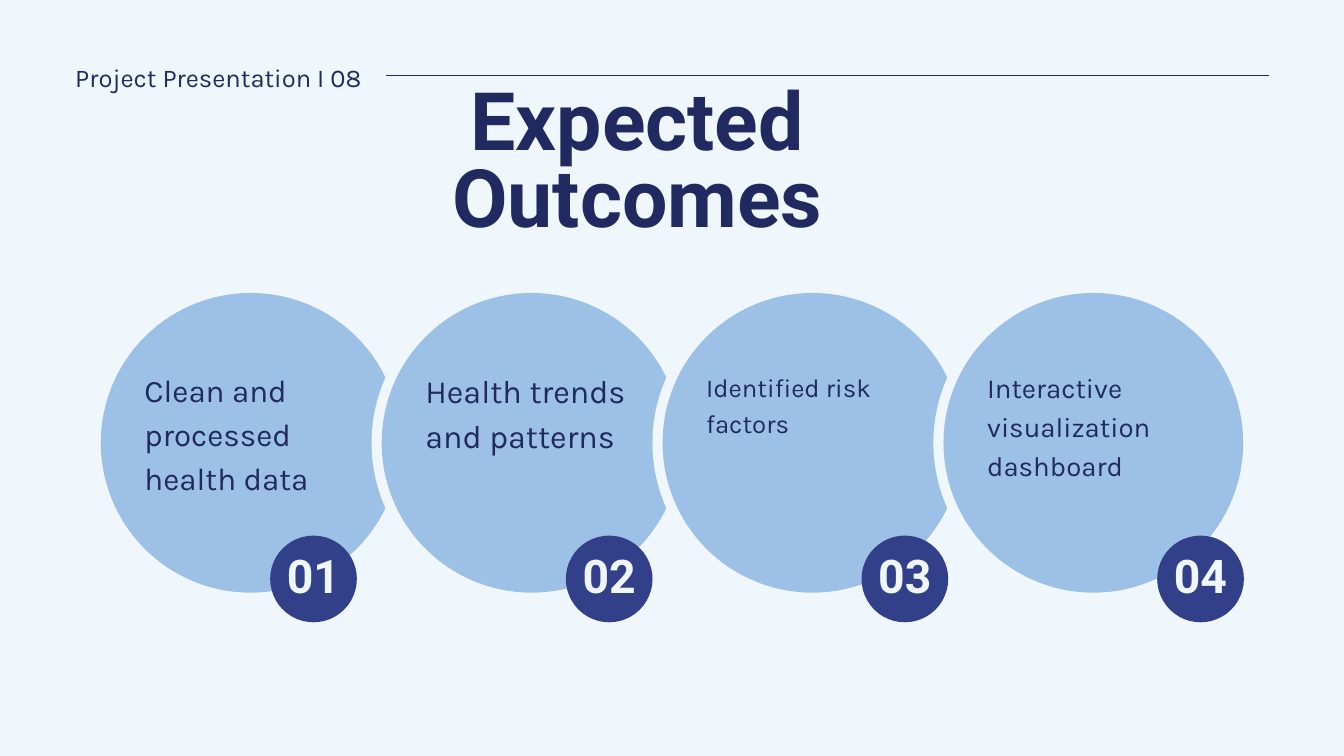
from pptx import Presentation
from pptx.dml.color import RGBColor
from pptx.enum.shapes import MSO_CONNECTOR, MSO_SHAPE
from pptx.enum.text import PP_ALIGN
from pptx.oxml.ns import qn
from pptx.util import Emu, Pt
from lxml.etree import SubElement

PALE = RGBColor(0xEF, 0xF6, 0xFC)
SKY = RGBColor(0x9D, 0xC1, 0xE6)
INDIGO = RGBColor(0x32, 0x40, 0x89)
NAVY = RGBColor(0x20, 0x2A, 0x61)

# Wording, text top, text height, font size and line spacing
OUTCOMES = [
    ("Clean and processed health data", 543, 192, 33.6, 47.1),
    ("Health trends and patterns", 543, 131, 34.6, 48.5),
    ("Identified risk factors", 545, 104, 27.6, 38.7),
    ("Interactive visualization dashboard", 544, 170, 29.6, 41.5),
]
CIRCLE_LEFT, CIRCLE_TOP, CIRCLE_SIZE, CIRCLE_STEP = 150, 436, 446, 418
RIM = 15
BADGE_LEFT, BADGE_TOP, BADGE_SIZE, BADGE_STEP = 402, 797, 129, 440


def px(length):
    """100 px to the inch."""
    return Emu(length * 9144)


def add_text(page, text, left, top, width, height, size, spacing,
             font="Karla", color=NAVY, bold=False, align=PP_ALIGN.LEFT):
    box = page.shapes.add_textbox(px(left), px(top), px(width), px(height))
    frame = box.text_frame
    frame.word_wrap = True
    frame.margin_left = frame.margin_right = 0
    frame.margin_top = frame.margin_bottom = 0
    para = frame.paragraphs[0]
    para.alignment = align
    para.line_spacing = Pt(spacing)
    span = para.add_run()
    span.text = text
    span.font.name = font
    span.font.size = Pt(size)
    span.font.bold = bold
    span.font.color.rgb = color


def add_circle(page, left, top, size, color):
    circle = page.shapes.add_shape(
        MSO_SHAPE.OVAL, px(left), px(top), px(size), px(size))
    circle.shadow.inherit = False
    circle.fill.solid()
    circle.fill.fore_color.rgb = color
    circle.line.fill.background()


def add_rule(page, left, right, y):
    rule = page.shapes.add_connector(
        MSO_CONNECTOR.STRAIGHT, px(left), px(y), px(right), px(y))
    rule.line.color.rgb = NAVY
    rule.line.width = Pt(0.75)
    SubElement(rule._element.spPr, qn("a:effectLst"))


def add_outcome(page, index, text, top, height, size, spacing):
    left = CIRCLE_LEFT + index * CIRCLE_STEP
    if index:  # pale rim that cuts into the circle before
        add_circle(page, left - RIM, CIRCLE_TOP - RIM,
                   CIRCLE_SIZE + 2 * RIM, PALE)
    add_circle(page, left, CIRCLE_TOP, CIRCLE_SIZE, SKY)
    add_text(page, text, left + 65, top, 316, height, size, spacing)


def add_badge(page, index):
    left = BADGE_LEFT + index * BADGE_STEP
    add_circle(page, left, BADGE_TOP, BADGE_SIZE, INDIGO)
    add_text(page, f"{index + 1:02}", left + 11, BADGE_TOP + 35, 107, 71,
             49.7, 47.2, "Roboto", PALE, True, PP_ALIGN.CENTER)


def main():
    deck = Presentation()
    deck.slide_width, deck.slide_height = px(2000), px(1125)
    page = deck.slides.add_slide(deck.slide_layouts[6])
    page.background.fill.solid()
    page.background.fill.fore_color.rgb = PALE

    # Header and title
    add_text(page, "Project Presentation I 08", 112, 85, 983, 51, 27.4, 38.4)
    add_text(page, "Expected Outcomes", 547, 134, 803, 235, 86.3, 82,
             "Roboto", bold=True, align=PP_ALIGN.CENTER)

    # Chain of outcomes, then the numbers on top
    for index, outcome in enumerate(OUTCOMES):
        add_outcome(page, index, *outcome)
    for index in range(len(OUTCOMES)):
        add_badge(page, index)

    add_rule(page, 575, 1888, 112)
    deck.save("out.pptx")


if __name__ == "__main__":
    main()
